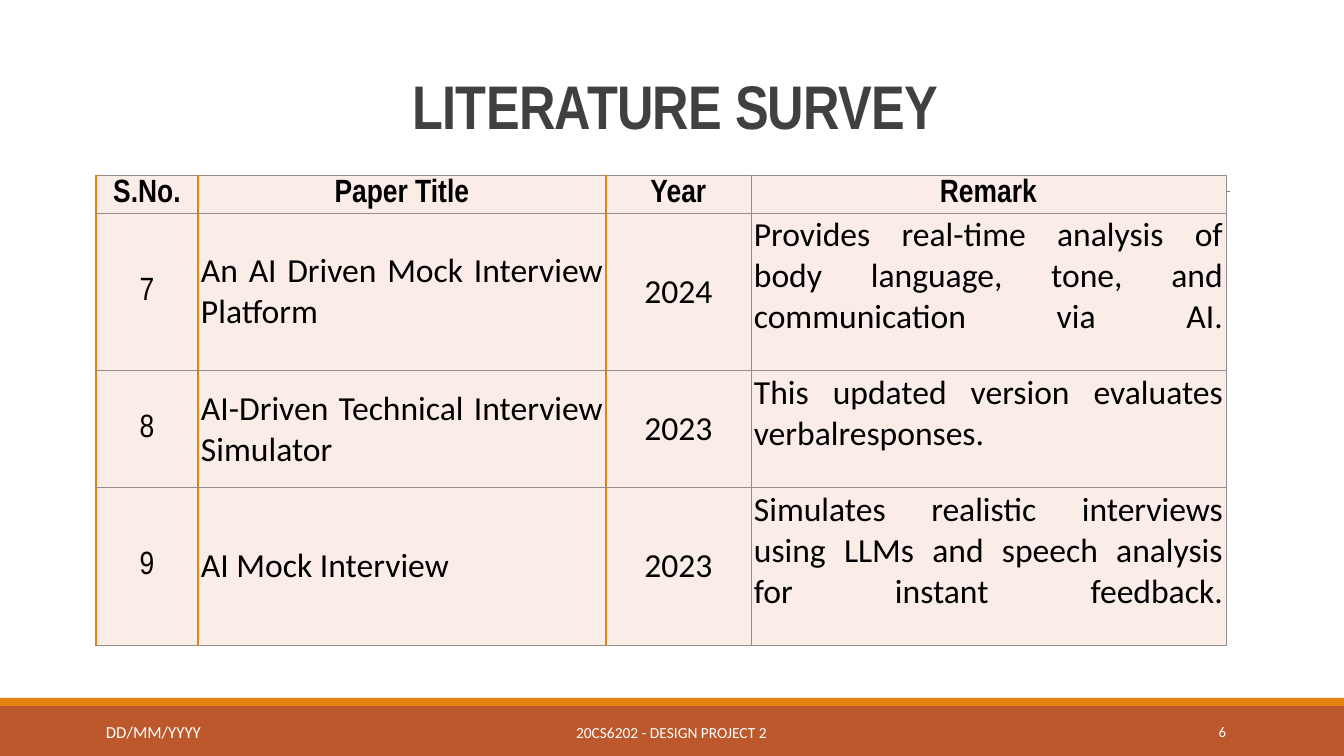
from lxml import etree
from pptx import Presentation
from pptx.dml.color import RGBColor
from pptx.enum.shapes import MSO_CONNECTOR, MSO_SHAPE
from pptx.enum.text import MSO_ANCHOR, PP_ALIGN
from pptx.oxml.ns import qn
from pptx.util import Pt

LEFT, CENTER, RIGHT, JUSTIFY = PP_ALIGN.LEFT, PP_ALIGN.CENTER, PP_ALIGN.RIGHT, PP_ALIGN.JUSTIFY
MIDDLE = MSO_ANCHOR.MIDDLE
RECTANGLE = MSO_SHAPE.RECTANGLE
STRAIGHT = MSO_CONNECTOR.STRAIGHT

EMU_PER_PX = 914400 / 100.8
TITLE_ONLY = 5
BODY_FONT, NARROW_FONT = "Calibri", "Arial Narrow"
COLORS = {
    "rust": "BD582C", "orange": "E48312", "rule": "808080", "grid": "968C89",
    "cell": "FAEDE7", "title": "404040", "black": "000000", "white": "FFFFFF",
}

# Table content; \v is a line break inside a paragraph
HEADERS = ["S.No.", "Paper Title", "Year", "Remark"]
PAPERS = [
    ["7", "An AI Driven Mock Interview Platform", "2024",
     "Provides real-time analysis of body language, tone, and communication via AI.\v"],
    ["8", "AI-Driven Technical Interview Simulator", "2023",
     "This updated version evaluates verbalresponses.\v"],
    ["9", "AI Mock Interview", "2023",
     "Simulates realistic interviews using LLMs and speech analysis for instant feedback.\v"],
]
COLUMN_WIDTHS = [102, 408, 145, 475]
ROW_HEIGHTS = [38, 156, 116, 156]
COLUMN_ALIGNS = [CENTER, JUSTIFY, CENTER, JUSTIFY]
ORANGE_EDGES = 3  # the first three vertical edges are orange


def px(length):
    return round(length * EMU_PER_PX)


def rgb(name):
    return RGBColor.from_string(COLORS[name])


class SurveySlide:
    """Holds the current slide and draws its elements in one style."""

    def __init__(self, deck):
        self.page = deck.slides.add_slide(deck.slide_layouts[TITLE_ONLY])
        self.shapes = self.page.shapes

    def set_text(self, frame, text, size, color, align, font=BODY_FONT, bold=False):
        frame.text = text
        para = frame.paragraphs[0]
        para.alignment = align
        for span in para.runs:
            span.font.name, span.font.size, span.font.bold = font, Pt(size), bold
            span.font.color.rgb = rgb(color)
        return para

    def band(self, top, height, color):
        box = self.shapes.add_shape(RECTANGLE, 0, px(top), px(1344), px(height))
        box.shadow.inherit = False
        box.fill.solid()
        box.fill.fore_color.rgb = rgb(color)
        box.line.fill.background()

    def rule(self, left, right, top):
        line = self.shapes.add_connector(STRAIGHT, px(left), px(top), px(right), px(top))
        line.line.color.rgb = rgb("rule")
        line.line.width = Pt(0.5)
        etree.SubElement(line._element.spPr, qn("a:effectLst"))

    def title(self, text, left, top, width, height):
        box = self.shapes.title
        box.left, box.top, box.width, box.height = map(px, (left, top, width, height))
        box.text_frame.vertical_anchor = MIDDLE
        para = self.set_text(box.text_frame, text, 44, "title", CENTER, NARROW_FONT, True)
        para.line_spacing = 0.85
        para.runs[0]._r.get_or_add_rPr().set("spc", "-50")

    def label(self, text, left, top, width, height, size, align):
        box = self.shapes.add_textbox(*map(px, (left, top, width, height)))
        box.text_frame.word_wrap = True
        box.text_frame.vertical_anchor = MIDDLE
        self.set_text(box.text_frame, text, size, "white", align)

    def border(self, cell, side, color, points):
        line = etree.Element(qn(f"a:ln{side}"), w=str(Pt(points)))
        fill = etree.SubElement(line, qn("a:solidFill"))
        etree.SubElement(fill, qn("a:srgbClr"), val=COLORS[color])
        properties = cell._tc.get_or_add_tcPr()
        properties.insert(len(properties) - 1, line)  # borders precede the fill

    def cell(self, cell, text, row, column):
        cell.margin_left = cell.margin_right = px(3)
        cell.margin_top = cell.margin_bottom = px(2)
        cell.vertical_anchor = MIDDLE
        cell.fill.solid()
        cell.fill.fore_color.rgb = rgb("cell")
        header = row == 0
        narrow = header or column == 0
        self.set_text(cell.text_frame, text, 23 if narrow else 24, "black",
                      CENTER if header else COLUMN_ALIGNS[column],
                      NARROW_FONT if narrow else BODY_FONT, header)
        for side, edge in (("L", column), ("R", column + 1)):
            orange = edge < ORANGE_EDGES
            self.border(cell, side, "orange" if orange else "grid", 1 if orange else 0.5)
        for side in "TB":
            self.border(cell, side, "grid", 0.5)

    def table(self, rows, left, top):
        size = px(sum(COLUMN_WIDTHS)), px(sum(ROW_HEIGHTS))
        grid = self.shapes.add_table(len(rows), len(HEADERS), px(left), px(top), *size).table
        for column, width in zip(grid.columns, COLUMN_WIDTHS):
            column.width = px(width)
        for row, height in zip(grid.rows, ROW_HEIGHTS):
            row.height = px(height)
        for row, texts in enumerate(rows):
            for column, text in enumerate(texts):
                self.cell(grid.cell(row, column), text, row, column)


def main():
    deck = Presentation()
    deck.slide_width, deck.slide_height = px(1344), px(756)
    slide = SurveySlide(deck)

    # Footer bands and the rule under the title
    slide.band(706, 50, "rust")
    slide.band(698, 8, "orange")
    slide.rule(132, 1230, 191)

    # Title and table
    slide.title("LITERATURE SURVEY", 121, 31, 1109, 160)
    slide.table([HEADERS] + PAPERS, 96, 175)

    # Footer text
    slide.label("20CS6202 - DESIGN PROJECT 2", 406, 712, 531, 40, 11, CENTER)
    slide.label("6", 1092, 712, 144, 40, 10.5, RIGHT)
    slide.label("DD/MM/YYYY", 96, 717, 261, 30, 12, LEFT)

    deck.save("out.pptx")


if __name__ == "__main__":
    main()
